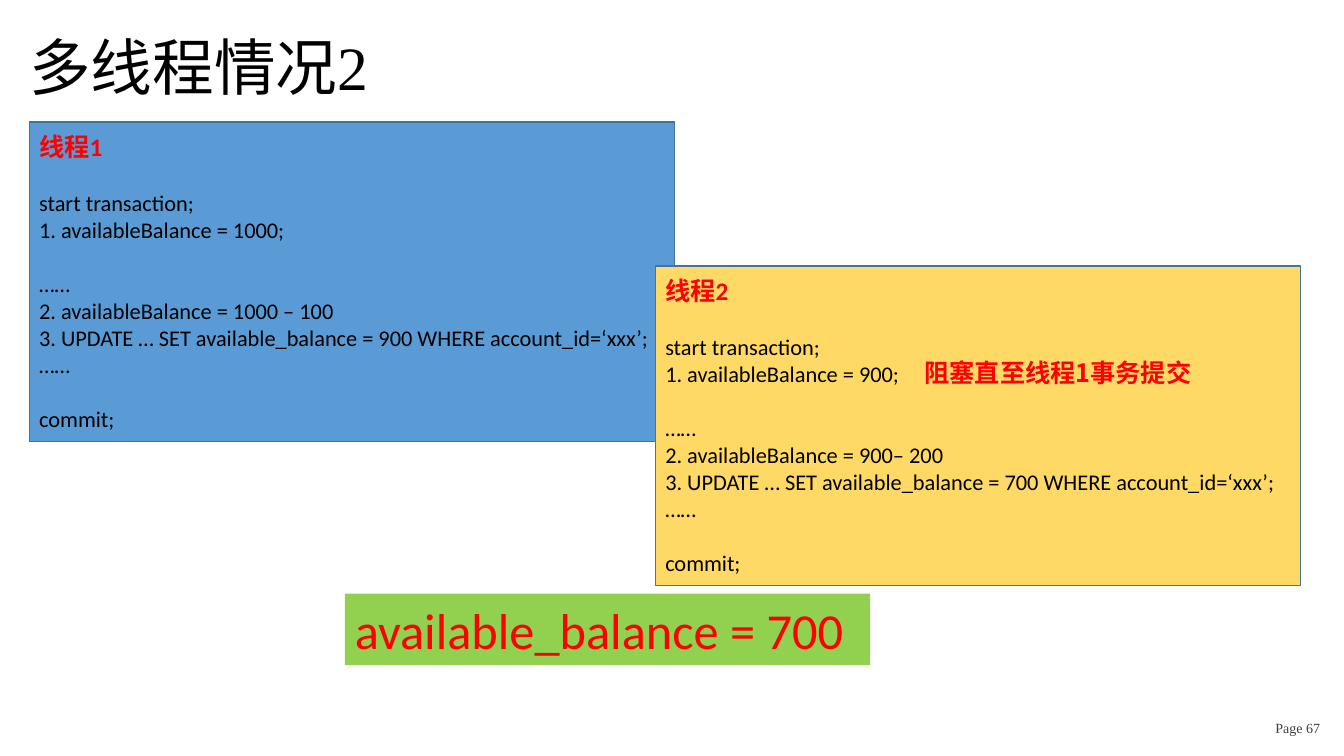
"""Build the slide on the second multithreading case."""
import pptx
import pptx.util
import pptx.dml.color
import pptx.enum.text
import pptx.enum.shapes
import pptx.oxml.ns
import lxml.etree

Inches, Pt = pptx.util.Inches, pptx.util.Pt
ANCHOR = pptx.enum.text.MSO_ANCHOR

COLORS = {"black": "000000", "red": "FF0000", "gray": "404040", "blue": "5B9BD5",
          "yellow": "FFD966", "green": "92D050", "border": "43739E"}
CJK_FONT = "Noto Sans CJK SC"
TITLE = "多线程情况2"
THREADS = [
    {"name": "线程1", "fill": "blue", "left": 0.29, "top": 1.21,
     "read": "1000", "change": "1000 – 100", "written": "900"},
    {"name": "线程2", "fill": "yellow", "left": 6.5, "top": 2.64,
     "read": "900", "change": "900– 200", "written": "700"},
]
THREAD_SIZE = (6.4, 3.17)
BLANK_LINE = 19.5
RESULT = "available_balance = 700"
WAITING = "阻塞直至线程1事务提交"
PAGE_LABEL = "Page 67"


def rgb(name):
    return pptx.dml.color.RGBColor.from_string(COLORS[name])


def write(para, text, size, color, font="Calibri", bold=False):
    para.alignment = pptx.enum.text.PP_ALIGN.LEFT
    span = para.add_run()
    span.text = text
    span.font.size = Pt(size)
    span.font.name = font
    span.font.bold = bold
    span.font.color.rgb = rgb(color)
    east_asian = lxml.etree.SubElement(span.font._element, pptx.oxml.ns.qn("a:ea"))
    east_asian.set("typeface", CJK_FONT)


def set_frame(box, anchor, horizontal=0.1, vertical=0.05):
    frame = box.text_frame
    frame.word_wrap = True
    frame.auto_size = pptx.enum.text.MSO_AUTO_SIZE.NONE
    frame.vertical_anchor = anchor
    frame.margin_left = frame.margin_right = Inches(horizontal)
    frame.margin_top = frame.margin_bottom = Inches(vertical)
    return frame


def add_panel(slide, bounds, fill, border=None):
    panel = slide.shapes.add_shape(pptx.enum.shapes.MSO_SHAPE.RECTANGLE, *map(Inches, bounds))
    panel.shadow.inherit = False
    panel.fill.solid()
    panel.fill.fore_color.rgb = rgb(fill)
    if border:
        panel.line.color.rgb = rgb(border)
        panel.line.width = Pt(1)
    else:
        panel.line.fill.background()
    return set_frame(panel, ANCHOR.MIDDLE)


def add_thread(slide, thread):
    bounds = (thread["left"], thread["top"], *THREAD_SIZE)
    frame = add_panel(slide, bounds, thread["fill"], "border")
    write(frame.paragraphs[0], thread["name"], 18, "red", bold=True)
    steps = [
        ("start transaction;", True),
        (f"1. availableBalance = {thread['read']};", False),
        ("……", True),
        (f"2. availableBalance = {thread['change']}", False),
        (f"3. UPDATE … SET available_balance = {thread['written']} WHERE account_id=‘xxx’;", False),
        ("……", False),
        ("commit;", True),
    ]
    for text, gap_before in steps:
        para = frame.add_paragraph()
        para.space_before = Pt(BLANK_LINE if gap_before else 0)
        write(para, text, 16, "black")


def add_label(slide, bounds, text, size, color, font, bold=False, horizontal=0.1):
    label = slide.shapes.add_textbox(*map(Inches, bounds))
    frame = set_frame(label, ANCHOR.TOP, horizontal)
    write(frame.paragraphs[0], text, size, color, font, bold)


def add_title(slide):
    title = slide.shapes.title
    title.left, title.top, title.width, title.height = map(Inches, (0, 0.3, 13.33, 0.81))
    para = set_frame(title, ANCHOR.MIDDLE, 0.08, 0.04).paragraphs[0]
    para.line_spacing = 0.9
    write(para, TITLE, 44, "black", "Times New Roman")
    properties = para._p.get_or_add_pPr()
    properties.set("marL", str(Inches(0.21)))
    properties.set("indent", "0")


def main():
    deck = pptx.Presentation()
    deck.slide_width, deck.slide_height = Inches(13.33), Inches(7.5)
    page = deck.slides.add_slide(deck.slide_layouts[5])
    add_title(page)
    for thread in THREADS:
        add_thread(page, thread)
    result = add_panel(page, (3.42, 5.89, 5.21, 0.71), "green")
    write(result.paragraphs[0], RESULT, 36, "red")
    add_label(page, (9.07, 3.5, 2.88, 0.4), WAITING, 18, "red", CJK_FONT, bold=True)
    add_label(page, (12.54, 7.09, 0.79, 0.29), PAGE_LABEL, 10, "gray",
              "Times New Roman", horizontal=0.11)
    deck.save("out.pptx")


if __name__ == "__main__":
    main()
